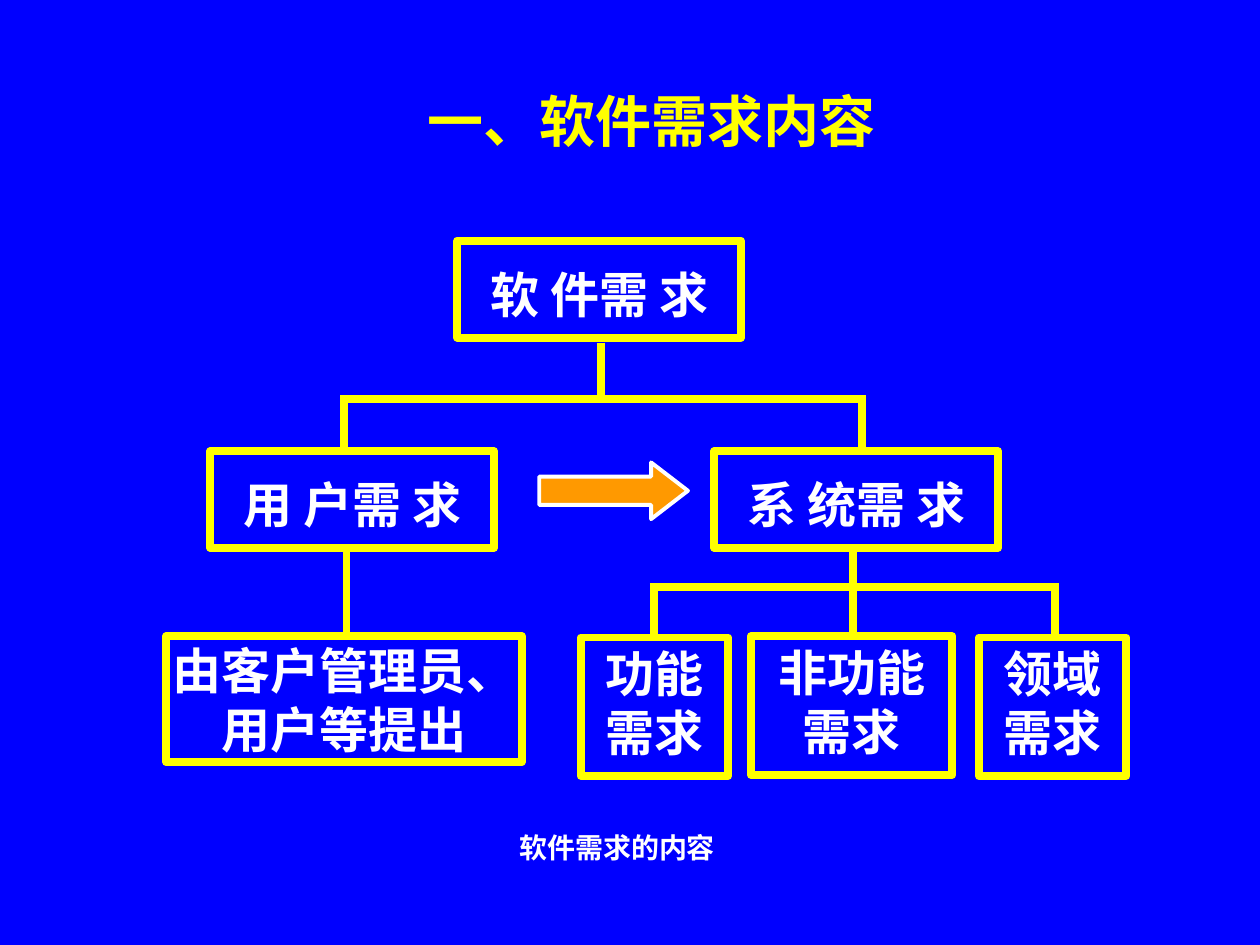
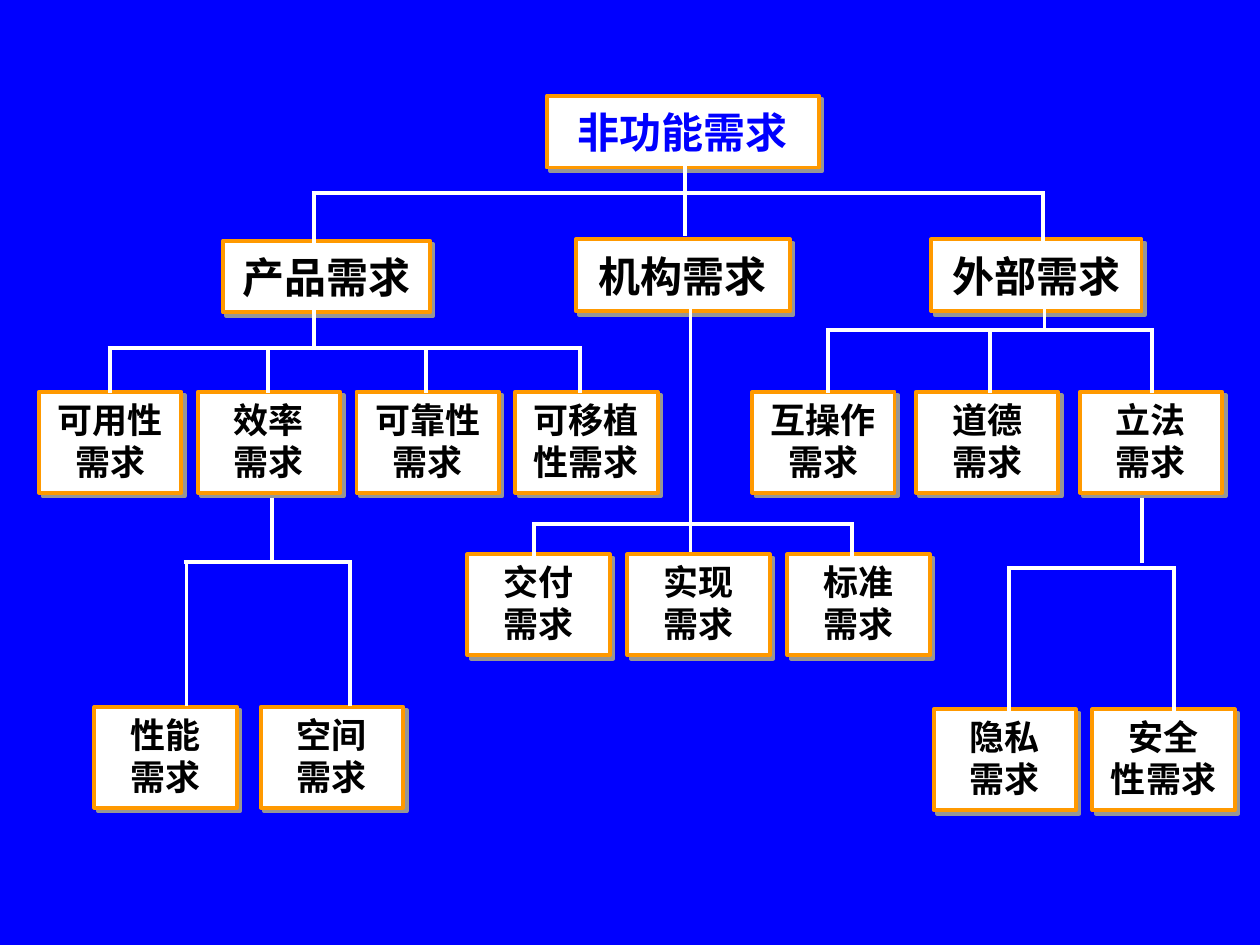
"""Build two slides that break software requirements down into trees."""
import pptx
import pptx.dml.color
import pptx.enum.shapes
import pptx.enum.text
import pptx.oxml
import pptx.oxml.ns
import pptx.util
from pptx.util import Inches

COLORS = {
    "blue": "0000FF",
    "yellow": "FFFF00",
    "white": "FFFFFF",
    "orange": "FF9900",
    "black": "000000",
    "shadow": "969696",
}
SHAPES = pptx.enum.shapes.MSO_SHAPE
SERIF = "Times New Roman"
SANS = "Noto Sans CJK JP"


def rgb(color):
    """Return the named colour."""
    return pptx.dml.color.RGBColor.from_string(COLORS[color])


class Deck:
    """Hold the style and the current slide."""

    def __init__(self):
        """Start an empty presentation."""
        self.presentation = pptx.Presentation()
        self.presentation.slide_width = Inches(10)
        self.presentation.slide_height = Inches(7.5)

    def new_slide(self, line_color, line_width):
        """Add a blue slide and set its tree lines."""
        self.slide = self.presentation.slides.add_slide(self.presentation.slide_layouts[6])
        self.slide.background.fill.solid()
        self.slide.background.fill.fore_color.rgb = rgb("blue")
        self.line_color, self.line_width = line_color, line_width

    def set_text(self, holder, text, size, color, font=SERIF, spacing=1.0, middle=False, wrap=True):
        """Fill a shape with bold centred paragraphs."""
        frame = holder.text_frame
        frame.word_wrap = wrap
        anchors = pptx.enum.text.MSO_ANCHOR
        frame.vertical_anchor = anchors.MIDDLE if middle else anchors.TOP
        frame.text = text
        for paragraph in frame.paragraphs:
            paragraph.alignment = pptx.enum.text.PP_ALIGN.CENTER
            paragraph.line_spacing = spacing
            paragraph.font.name = font
            paragraph.font.size = pptx.util.Pt(size)
            paragraph.font.bold = True
            paragraph.font.color.rgb = rgb(color)

    def label(self, left, top, width, height, text, size, color):
        """Add free text."""
        box = self.slide.shapes.add_textbox(*map(Inches, (left, top, width, height)))
        self.set_text(box, text, size, color)

    def shape(self, left, top, width, height, kind, fill, line, weight):
        """Add a preset shape without a shadow."""
        shape = self.slide.shapes.add_shape(kind, *map(Inches, (left, top, width, height)))
        shape.shadow.inherit = False
        if fill:
            shape.fill.solid()
            shape.fill.fore_color.rgb = rgb(fill)
        else:
            shape.fill.background()
        shape.line.color.rgb = rgb(line)
        shape.line.width = pptx.util.Pt(weight)
        return shape

    def frame(self, left, top, width, height, text, **style):
        """Add a hollow yellow box."""
        box = self.shape(left, top, width, height, SHAPES.RECTANGLE, None, "yellow", 4.5)
        self.set_text(box, text, 28, "white", **style)

    def card(self, left, top, width, height, text, size=20, color="black", spacing=1.0):
        """Add a white box with an orange edge and a grey shadow."""
        box = self.shape(left, top, width, height, SHAPES.RECTANGLE, "white", "orange", 2.25)
        effects = box._element.spPr.find(pptx.oxml.ns.qn("a:effectLst"))
        effects.append(pptx.oxml.parse_xml(
            f'<a:outerShdw {pptx.oxml.ns.nsdecls("a")} dist="35560" dir="2700000" '
            f'algn="ctr" rotWithShape="0"><a:srgbClr val="{COLORS["shadow"]}"/></a:outerShdw>'))
        self.set_text(box, text, size, color, spacing=spacing)

    def heading(self, left, top, width, text, color="black"):
        """Add a card of the upper levels."""
        self.card(left, top, width, 0.57, text, 24, color, 1.1)

    def leaves(self, left, top, step, *texts):
        """Add a row of equal small cards."""
        for index, text in enumerate(texts):
            self.card(left + index * step, top, 1.13, 0.8, text)

    def line(self, x1, y1, x2, y2):
        """Add one tree line."""
        connector = self.slide.shapes.add_connector(
            pptx.enum.shapes.MSO_CONNECTOR.STRAIGHT, *map(Inches, (x1, y1, x2, y2)))
        connector.line.color.rgb = rgb(self.line_color)
        connector.line.width = pptx.util.Pt(self.line_width)
        properties = connector._element.spPr
        properties.append(properties.makeelement(pptx.oxml.ns.qn("a:effectLst"), {}))

    def branch(self, stem_x, top, bar_y, drops, bottom, stem_end=None):
        """Join a parent to its children with a stem, a bar and drops."""
        overhang = self.line_width / 144
        self.line(stem_x, top, stem_x, stem_end or bar_y)
        self.line(drops[0] - overhang, bar_y, drops[-1] + overhang, bar_y)
        for x in drops:
            self.line(x, bar_y, x, bottom)


def requirement_contents(deck):
    """Draw the tree of software requirements."""
    deck.new_slide("yellow", 4.5)
    for left, top, text in ((3.63, 1.91, "软 件需 求"),
                            (1.67, 3.58, "用 户需 求"),
                            (5.67, 3.58, "系 统需 求")):
        deck.frame(left, top, 2.25, 0.77, text, font=SANS, spacing=1.3)
    deck.branch(4.77, 2.72, 3.17, (2.73, 6.84), 3.59)
    for left, top, width, text in ((4.61, 5.06, 1.17, "功能需求"),
                                   (5.96, 5.05, 1.6, "非功能需求"),
                                   (7.77, 5.06, 1.17, "领域需求")):
        deck.frame(left, top, width, 1.1, text, font=SANS)
    deck.branch(6.77, 4.35, 4.66, (5.19, 8.37), 5.06, 5.05)
    deck.line(2.75, 4.34, 2.75, 5.08)
    deck.frame(1.32, 5.05, 2.82, 1, "由客户管理员、\n用户等提出", middle=True, wrap=False)
    deck.label(2.86, 6.54, 4.08, 0.37, "软件需求的内容", 16, "white")
    deck.label(1.06, 0.64, 8.22, 0.63, "一、软件需求内容", 32, "yellow")
    arrow = deck.shape(4.28, 3.67, 1.18, 0.45, SHAPES.RIGHT_ARROW, "orange", "white", 2.25)
    arrow.adjustments[1] = 0.65


def nonfunctional_requirements(deck):
    """Draw the tree of non-functional requirements."""
    deck.new_slide("white", 2.25)
    deck.heading(4.34, 0.76, 2.16, "非功能需求", "blue")
    deck.heading(1.77, 1.91, 1.64, "产品需求")
    deck.heading(4.57, 1.9, 1.7, "机构需求")
    deck.heading(7.39, 1.9, 1.67, "外部需求")
    deck.branch(5.44, 1.27, 1.53, (2.49, 8.28), 1.93, 1.87)

    deck.leaves(5.97, 3.11, 1.3, "互操作\n需求", "道德\n需求", "立法\n需求")
    deck.branch(8.29, 2.41, 2.62, (6.57, 7.86, 9.14), 3.12)
    deck.leaves(0.75, 5.61, 1.32, "性能\n需求", "空间\n需求")
    deck.leaves(3.71, 4.4, 1.27, "交付\n需求", "实现\n需求", "标准\n需求")
    deck.branch(5.48, 2.41, 4.16, (4.24, 6.76), 4.41, 4.38)
    deck.leaves(7.41, 5.63, 1.26, "隐私\n需求", "安全\n性需求")
    deck.branch(9.06, 3.95, 4.51, (8.01, 9.32), 5.65, 4.47)
    deck.leaves(0.31, 3.11, 1.26, "可用性\n需求", "效率\n需求", "可靠性\n需求", "可移植\n性需求")
    deck.branch(2.49, 2.44, 2.76, (0.87, 2.13, 3.38, 4.6), 3.12)
    deck.branch(2.16, 3.95, 4.46, (1.48, 2.78), 5.6)


def main():
    """Build and save the deck."""
    deck = Deck()
    requirement_contents(deck)
    nonfunctional_requirements(deck)
    deck.presentation.save("out.pptx")


if __name__ == "__main__":
    main()
